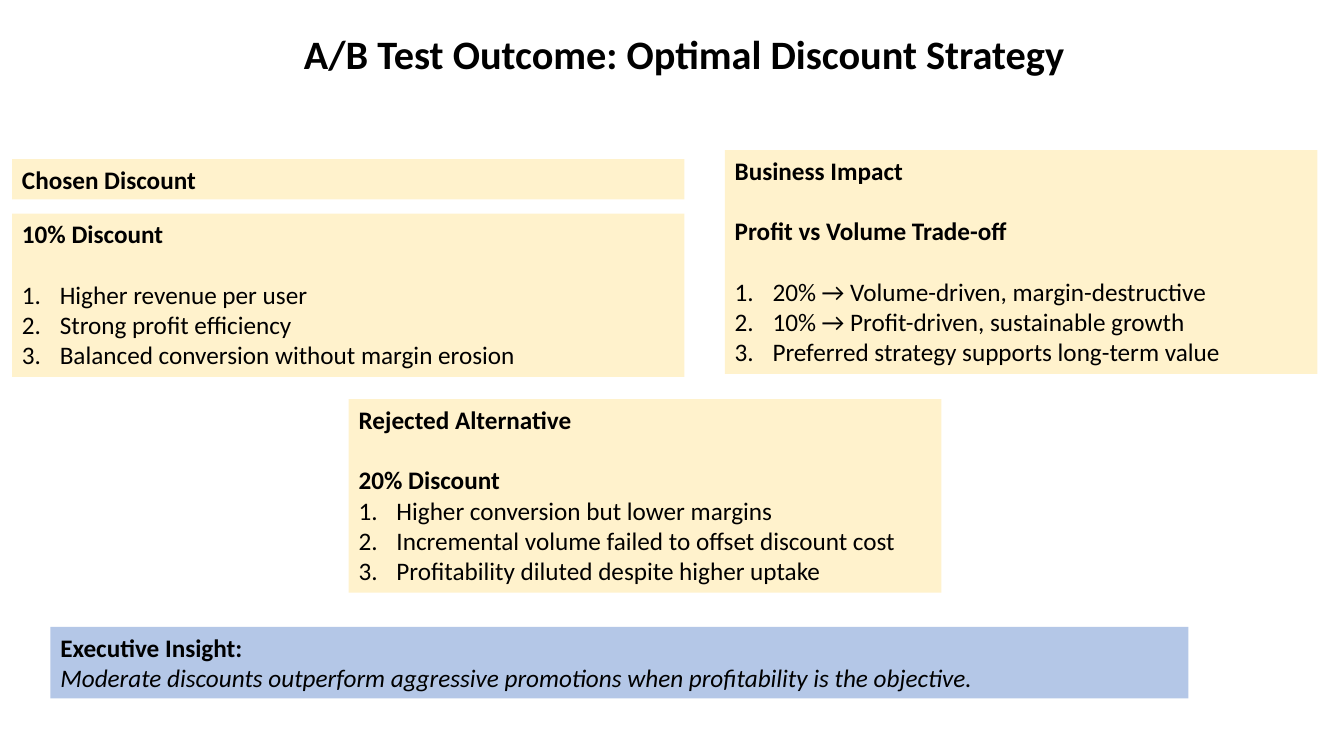
from lxml.etree import SubElement
from pptx import Presentation
from pptx.dml.color import RGBColor
from pptx.enum.shapes import MSO_SHAPE as Shape
from pptx.enum.text import MSO_ANCHOR as Anchor, MSO_AUTO_SIZE as AutoSize, PP_ALIGN as Align
from pptx.oxml.ns import qn
from pptx.util import Pt

CREAM, BLUE, BLACK = "FFF2CC", "B4C7E7", "000000"
GAP = 21.6  # one line of body text
INDENT = 27

TITLE = "A/B Test Outcome: Optimal Discount Strategy"
TITLE_AREA = (128.88, 19.44, 720, 39.6)

# Each panel: area (left, top, width, height), fill, headings, numbered points, gap above the points
PANELS = [
    ((8.64, 113.76, 480.24, 28.8), CREAM, ["Chosen Discount"], [], 0),
    ((8.64, 152.64, 480.24, 116.64), CREAM, ["10% Discount"], [
        "Higher revenue per user",
        "Strong profit efficiency",
        "Balanced conversion without margin erosion",
    ], GAP),
    ((249.12, 285.12, 423.36, 138.24), CREAM, ["Rejected Alternative", "20% Discount"], [
        "Higher conversion but lower margins",
        "Incremental volume failed to offset discount cost",
        "Profitability diluted despite higher uptake",
    ], 0),
    ((517.68, 107.28, 423.36, 159.84), CREAM, ["Business Impact", "Profit vs Volume Trade-off"], [
        "20% → Volume-driven, margin-destructive",
        "10% → Profit-driven, sustainable growth",
        "Preferred strategy supports long-term value",
    ], GAP),
]
INSIGHT_AREA = (36, 447.84, 812.88, 51.12)
INSIGHT_HEADING = "Executive Insight:"
INSIGHT = "Moderate discounts outperform aggressive promotions when profitability is the objective."


def color(value):
    return RGBColor.from_string(value)


def write(box, text, size=18, bold=False, italic=False, align=Align.LEFT,
          before=0, spacing=1.0, numbered=False):
    """Add one paragraph to the box, using its empty first paragraph if there is one."""
    frame = box.text_frame
    para = frame.paragraphs[0] if not frame.text else frame.add_paragraph()
    para.alignment = align
    para.line_spacing = spacing
    if before:
        para.space_before = Pt(before)
    if numbered:
        properties = para._p.get_or_add_pPr()
        properties.set("marL", str(Pt(INDENT)))
        properties.set("indent", str(-Pt(INDENT)))
        SubElement(properties, qn("a:buFont"), typeface="+mj-lt")
        SubElement(properties, qn("a:buAutoNum"), type="arabicPeriod")
    span = para.add_run()
    span.text = text
    font = span.font
    font.name, font.size, font.bold, font.italic = "Calibri", Pt(size), bold, italic
    font.color.rgb = color(BLACK)


def add_panel(page, area, fill):
    box = page.shapes.add_shape(Shape.RECTANGLE, *map(Pt, area))
    box.shadow.inherit = False
    box.fill.solid()
    box.fill.fore_color.rgb = color(fill)
    box.line.fill.background()
    frame = box.text_frame
    frame.word_wrap = True
    frame.vertical_anchor = Anchor.TOP
    frame.auto_size = AutoSize.SHAPE_TO_FIT_TEXT
    return box


def main():
    deck = Presentation()
    deck.slide_width, deck.slide_height = Pt(960), Pt(540)
    page = deck.slides.add_slide(deck.slide_layouts[6])

    title = page.shapes.add_textbox(*map(Pt, TITLE_AREA))
    title.text_frame.word_wrap = True
    title.text_frame.vertical_anchor = Anchor.BOTTOM
    write(title, TITLE, size=28.8, bold=True, align=Align.CENTER, spacing=0.9)

    for area, fill, headings, points, points_gap in PANELS:
        box = add_panel(page, area, fill)
        for index, heading in enumerate(headings):
            write(box, heading, bold=True, before=GAP if index else 0)
        for index, point in enumerate(points):
            write(box, point, numbered=True, before=0 if index else points_gap)

    insight = add_panel(page, INSIGHT_AREA, BLUE)
    write(insight, INSIGHT_HEADING, bold=True)
    write(insight, INSIGHT, italic=True)

    deck.save("out.pptx")


if __name__ == "__main__":
    main()
